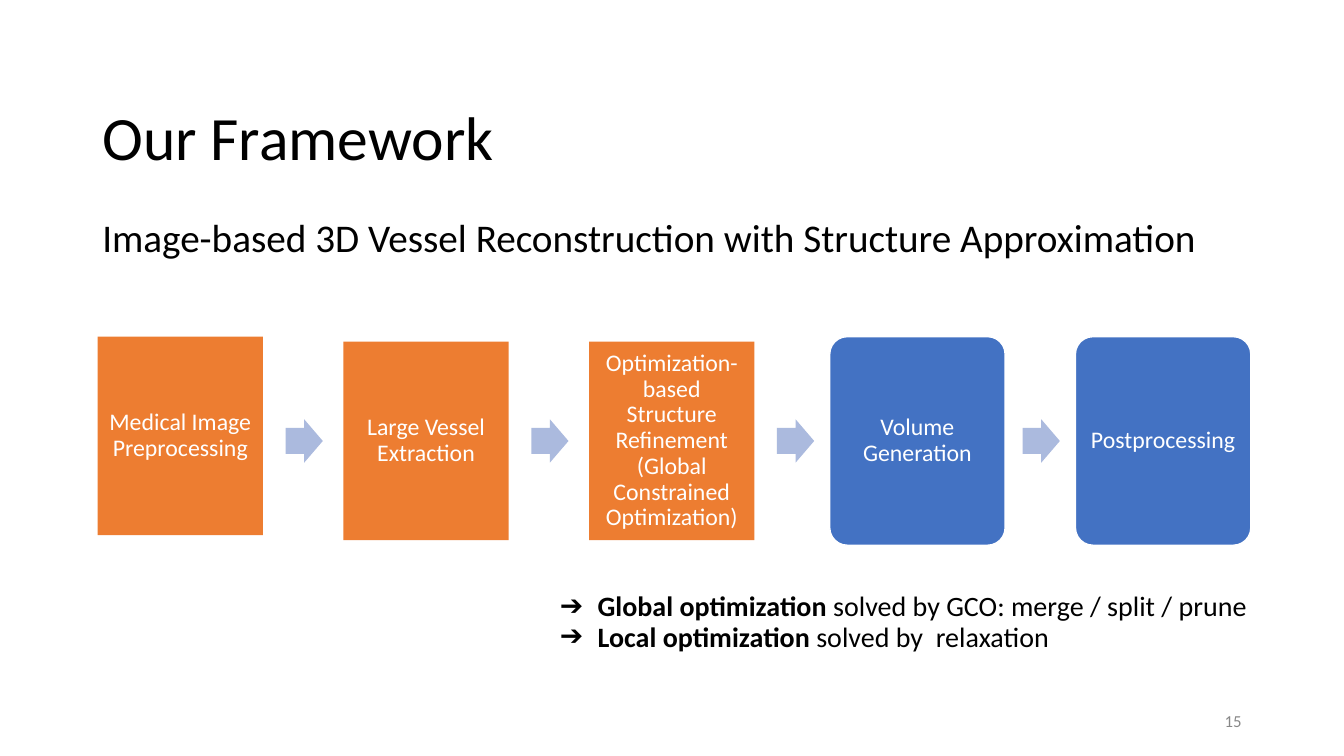
from pptx import Presentation
from pptx.dml.color import RGBColor
from pptx.enum.shapes import MSO_SHAPE as Shape
from pptx.enum.text import MSO_ANCHOR as Anchor, PP_ALIGN as Align
from pptx.oxml.ns import qn
from pptx.util import Pt
from lxml.etree import SubElement as Sub

FACE = "Calibri"
ORANGE, BLUE, PALE = "ED7D31", "4372C3", "ABBADE"
BLACK, WHITE, GRAY = "000000", "FFFFFF", "888888"
STEPS = [
    ("Medical Image Preprocessing", ORANGE),
    ("Large Vessel Extraction", ORANGE),
    ("Optimization-based Structure Refinement "
     "(Global Constrained Optimization)", ORANGE),
    ("Volume Generation", BLUE),
    ("Postprocessing", BLUE),
]
NOTES = [
    ("Global optimization ", "solved by GCO: merge / split / prune"),
    ("Local optimization ", "solved by  relaxation"),
]


def tint(hue):
    """Turn a hex string into a colour."""
    return RGBColor.from_string(hue)


def style(para, size, hue, align=Align.LEFT, space=0.9):
    """Format a paragraph and all its runs."""
    para.alignment, para.line_spacing = align, space
    for run in para.runs:
        font = run.font
        font.name, font.size, font.color.rgb = FACE, Pt(size), tint(hue)


def frame(shape, anchor, side, edge):
    """Set wrapping, anchor and insets, and return the text frame."""
    body = shape.text_frame
    body.word_wrap, body.vertical_anchor = True, anchor
    body.margin_left = body.margin_right = Pt(side)
    body.margin_top = body.margin_bottom = Pt(edge)
    return body


def label(slide, box, text, size, hue=BLACK, anchor=Anchor.TOP, **look):
    """Place one line of text in a box."""
    shape = slide.shapes.add_textbox(*map(Pt, box))
    body = frame(shape, anchor, 7.2, 3.6)
    body.text = text
    style(body.paragraphs[0], size, hue, **look)


def block(slide, kind, box, hue, adjust=()):
    """Draw a flat filled shape."""
    shape = slide.shapes.add_shape(kind, *map(Pt, box))
    shape.shadow.inherit = False
    shape.fill.solid()
    shape.fill.fore_color.rgb = tint(hue)
    shape.line.fill.background()
    for i, value in enumerate(adjust):
        shape.adjustments[i] = value
    return shape


def card(slide, box, text, hue, drop):
    """Draw one step: a round blue card or an inset orange one."""
    x, y, w, h = box
    if hue == BLUE:
        shape = block(slide, Shape.ROUNDED_RECTANGLE, box, hue, [0.1])
        shape.line.color.rgb = tint(WHITE)
        shape.line.width = Pt(1)
    else:
        inner = x + 3.6, y + drop, w - 7.2, h - 7.2
        shape = block(slide, Shape.RECTANGLE, inner, hue)
    body = frame(shape, Anchor.MIDDLE, 5, 5)
    body.text = text
    style(body.paragraphs[0], 17, WHITE, Align.CENTER)


def flow(slide, box):
    """Lay out the steps at an equal pitch with arrows between them."""
    left, top, width, high = box
    wide = 125.3
    pitch = (width - wide) / (len(STEPS) - 1)
    for i, (text, hue) in enumerate(STEPS):
        x = left + i * pitch
        card(slide, (x, top, wide, high), text, hue, 3.6 if i else 0)
        if i < len(STEPS) - 1:
            spot = x + wide + 12.5, top + (high - 31) / 2, 26.6, 31
            block(slide, Shape.RIGHT_ARROW, spot, PALE, [0.6, 0.5])


def notes(slide, box):
    """Write the arrow-bulleted notes with bold lead words."""
    shape = slide.shapes.add_textbox(*map(Pt, box))
    body = frame(shape, Anchor.TOP, 7.2, 3.6)
    for i, (lead, rest) in enumerate(NOTES):
        para = body.add_paragraph() if i else body.paragraphs[0]
        for text in (lead, rest):
            run = para.add_run()
            run.text, run.font.bold = text, text == lead
        style(para, 20, BLACK)
        props = para._p.get_or_add_pPr()
        props.set("marL", str(Pt(36)))
        props.set("indent", str(-Pt(27)))
        shade = Sub(props, qn("a:buClr"))
        Sub(shade, qn("a:srgbClr")).set("val", BLACK)
        Sub(props, qn("a:buFont")).set("typeface", FACE)
        Sub(props, qn("a:buChar")).set("char", "➔")


def main():
    """Build the slide and save it."""
    deck = Presentation()
    deck.slide_width, deck.slide_height = Pt(960), Pt(540)
    slide = deck.slides.add_slide(deck.slide_layouts[6])
    label(slide, (66, 48, 828, 104.4), "Our Framework", 44,
          anchor=Anchor.MIDDLE)
    label(slide, (66, 152.6, 828, 60),
          "Image-based 3D Vessel Reconstruction with Structure Approximation",
          28)
    flow(slide, (66.2, 240.5, 827.3, 149))
    notes(slide, (383.8, 419.8, 530, 70.6))
    label(slide, (678, 500.5, 216, 28.8), "15", 12, GRAY, Anchor.MIDDLE,
          align=Align.RIGHT, space=1.0)
    deck.save("out.pptx")


if __name__ == "__main__":
    main()
